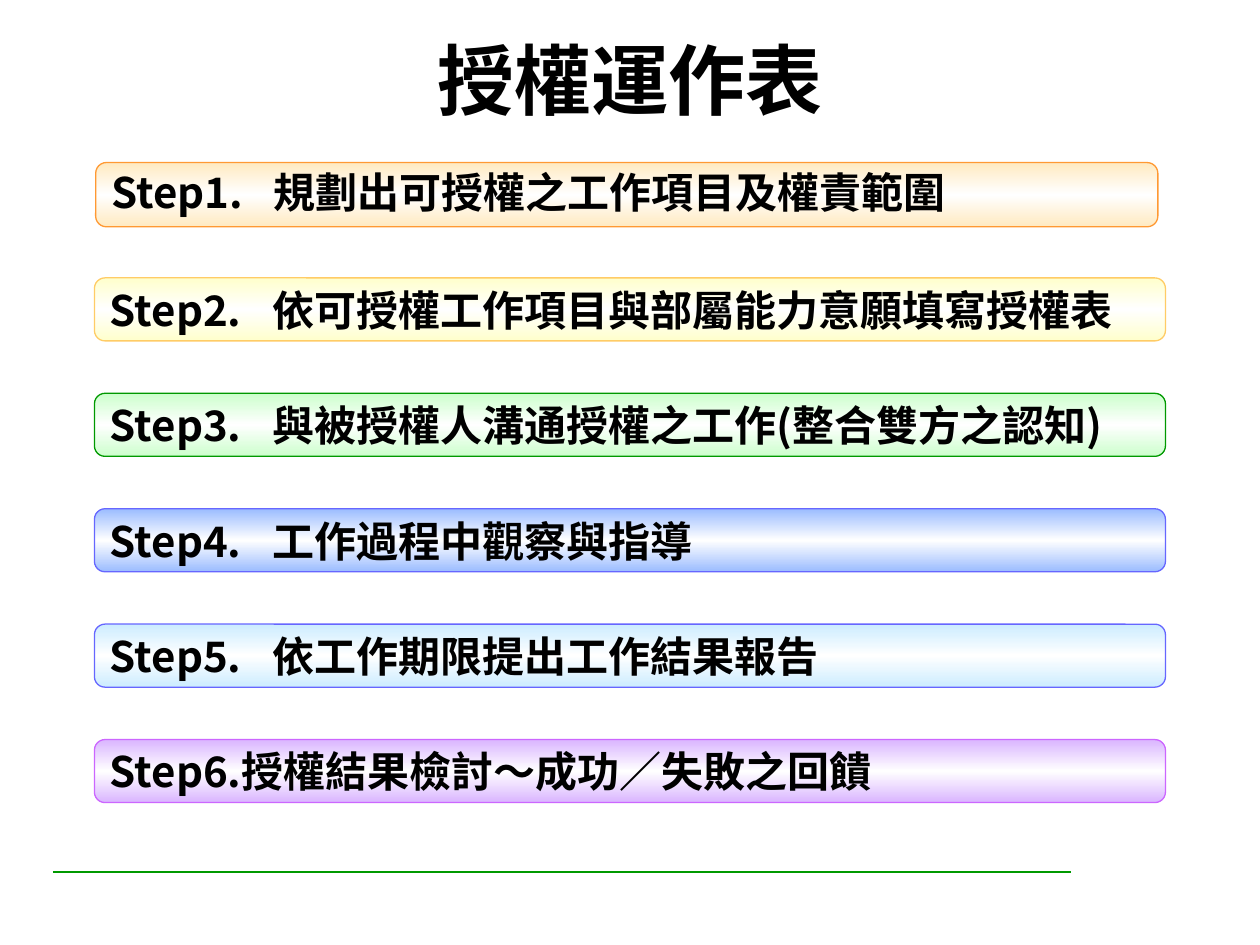
from copy import deepcopy
from lxml.etree import SubElement
from pptx import Presentation
from pptx.dml.color import RGBColor
from pptx.enum.shapes import MSO_CONNECTOR, MSO_SHAPE
from pptx.enum.text import MSO_ANCHOR, PP_ALIGN
from pptx.oxml.ns import qn
from pptx.util import Inches, Pt

FONT = "Noto Sans CJK SC"


def rgb(color):
    return RGBColor.from_string(color)


def style(p, size):
    r = p.runs[0]
    r.font.size = Pt(size)
    r.font.bold = True
    r.font.name = FONT
    r.font.color.rgb = rgb("000000")
    SubElement(r.font._element, qn("a:ea"), typeface=FONT)


prs = Presentation()
prs.slide_width = Inches(10)
prs.slide_height = Inches(7.5)
s = prs.slides.add_slide(prs.slide_layouts[6])

rule = s.shapes.add_connector(
    MSO_CONNECTOR.STRAIGHT, Inches(0.42), Inches(6.92), Inches(8.5), Inches(6.92))
rule.line.color.rgb = rgb("009900")
rule.line.width = Pt(1.5)
SubElement(rule._element.spPr, qn("a:effectLst"))

title = s.shapes.add_textbox(Inches(0.81), Inches(0.06), Inches(8.38), Inches(1.13))
tf = title.text_frame
tf.word_wrap = True
tf.vertical_anchor = MSO_ANCHOR.MIDDLE
tf.text = "授權運作表"
p = tf.paragraphs[0]
p.alignment = PP_ALIGN.CENTER
style(p, 44)

steps = [
    ("Step1.\t規劃出可授權之工作項目及權責範圍", "FFEAC1", "FF9933"),
    ("Step2.\t依可授權工作項目與部屬能力意願填寫授權表", "FFFFCC", "FFCC66"),
    ("Step3.\t與被授權人溝通授權之工作(整合雙方之認知)", "CCFFCC", "009900"),
    ("Step4.\t工作過程中觀察與指導", "9BBCFF", "6666FF"),
    ("Step5.\t依工作期限提出工作結果報告", "CCECFF", "6666FF"),
    ("Step6.授權結果檢討～成功／失敗之回饋", "DAB5FF", "CC66FF"),
]
for i, (text, tint, edge) in enumerate(steps):
    first = i == 0
    left, width, height = (0.76, 8.43, 0.51) if first else (0.75, 8.5, 0.5)
    sp = s.shapes.add_shape(
        MSO_SHAPE.ROUNDED_RECTANGLE, Inches(left), Inches(1.29 + 0.916 * i),
        Inches(width), Inches(height))
    sp.shadow.inherit = False
    sp.line.color.rgb = rgb(edge)
    sp.line.width = Pt(0.75)

    sp.fill.gradient()
    sp.fill.gradient_angle = 270
    stops = sp._element.spPr.find(".//" + qn("a:gsLst"))
    stops.insert(1, deepcopy(stops[0]))
    for stop, position, color in zip(
            sp.fill.gradient_stops, (0, 0.5, 1), (tint, "FFFFFF", tint)):
        stop.position = position
        stop.color.rgb = rgb(color)

    tf = sp.text_frame
    tf.word_wrap = True
    tf.vertical_anchor = MSO_ANCHOR.TOP if first else MSO_ANCHOR.MIDDLE
    tf.text = text
    p = tf.paragraphs[0]
    p.alignment = PP_ALIGN.LEFT
    tabs = SubElement(p._p.get_or_add_pPr(), qn("a:tabLst"))
    SubElement(tabs, qn("a:tab"), pos=str(Inches(1.29)), algn="l")
    if first:
        p.line_spacing = 0.9
    style(p, 24)

prs.save("out.pptx")
